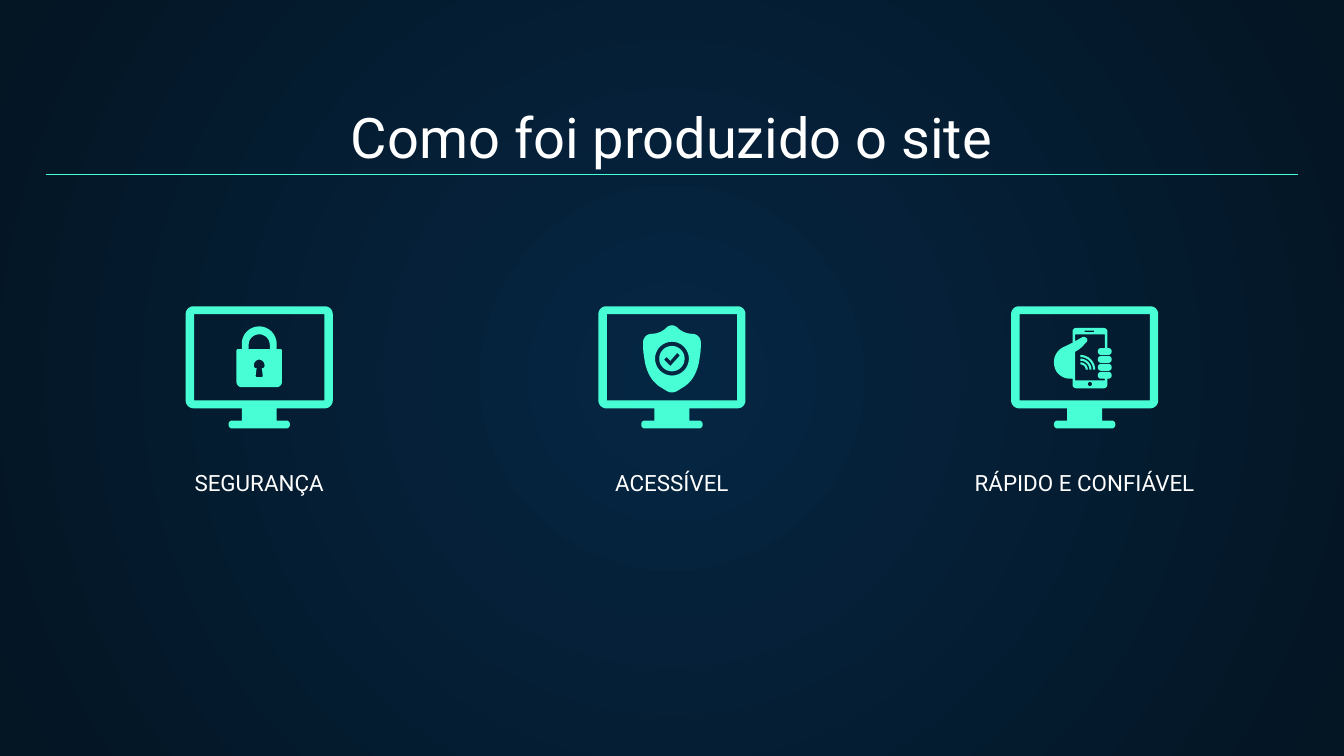
from math import sqrt, hypot

from lxml import etree
from pptx import Presentation
from pptx import util as u
from pptx.dml.color import RGBColor
from pptx.enum import shapes, text
from pptx.oxml.ns import qn


def colour(code):
    return RGBColor.from_string(code)


# Outline geometry: corners are (x, y, radius), in cm
def mirrored(half):
    """Complete a symmetric outline from its right half, listed downwards."""
    return half + [(-x, y, r) for x, y, r in reversed(half)]


def box_outline(left, top, right, bottom, radius=0):
    return [(left, top, radius), (right, top, radius),
            (right, bottom, radius), (left, bottom, radius)]


def disc_outline(x, y, radius):
    return box_outline(x - radius, y - radius, x + radius, y + radius, radius)


def sharp(*points):
    return [(x, y, 0) for x, y in points]


def signal_arc(x, y, radius, width=0.04):
    inner = radius - width
    return [(x, y - radius, 0), (x + radius, y - radius, radius), (x + radius, y, 0),
            (x + inner, y, 0), (x + inner, y - inner, inner), (x, y - inner, 0)]


def rounded(corners, steps=8):
    """Turn corners into points, replacing each rounded corner by an arc."""
    points = []
    for i, (x, y, radius) in enumerate(corners):
        if not radius:
            points.append((x, y))
            continue
        ends = []
        for nx, ny, _ in (corners[i - 1], corners[(i + 1) % len(corners)]):
            share = radius / hypot(nx - x, ny - y)
            ends.append((x + (nx - x) * share, y + (ny - y) * share))
        (ax, ay), (bx, by) = ends
        for step in range(steps + 1):
            t = step / steps
            a, c, b = (1 - t) ** 2, sqrt(2) * t * (1 - t), t ** 2
            total = a + b + c
            points.append(((a * ax + c * x + b * bx) / total,
                           (a * ay + c * y + b * by) / total))
    return points


class SlideBuilder:
    font = "Roboto"
    white = "FFFFFF"
    accent = "48FFD5"

    def __init__(self, deck):
        self.page = deck.slides.add_slide(deck.slide_layouts[5])

    def background(self, centre, edge):
        fill = self.page.background.fill
        fill.gradient()
        for stop, code in zip(fill.gradient_stops, (centre, edge)):
            stop.color.rgb = colour(code)
        gradient = self.page.element.find(".//" + qn("a:gradFill"))
        gradient.remove(gradient.find(qn("a:lin")))
        circle = etree.SubElement(gradient, qn("a:path"), {"path": "circle"})
        etree.SubElement(circle, qn("a:fillToRect"),
                         l="50000", t="50000", r="50000", b="50000")

    def set_words(self, box, words, size):
        frame = box.text_frame
        frame.word_wrap = True
        frame.auto_size = text.MSO_AUTO_SIZE.NONE
        frame.vertical_anchor = text.MSO_ANCHOR.BOTTOM
        frame.margin_left = frame.margin_right = u.Cm(0.25)
        frame.margin_top = frame.margin_bottom = u.Cm(0.25)
        para = frame.paragraphs[0]
        para.text = words
        para.alignment = text.PP_ALIGN.CENTER
        para.font.name = self.font
        para.font.size = u.Pt(size)
        para.font.color.rgb = colour(self.white)

    def title(self, words, left, top, width, height):
        box = self.page.shapes.title
        box.left, box.top = u.Cm(left), u.Cm(top)
        box.width, box.height = u.Cm(width), u.Cm(height)
        self.set_words(box, words, 30)

    def label(self, words, centre, top, width=5.76, height=0.53):
        box = self.page.shapes.add_textbox(
            u.Cm(centre - width / 2), u.Cm(top), u.Cm(width), u.Cm(height))
        self.set_words(box, words, 12)

    def rule(self, left, right, y):
        line = self.page.shapes.add_connector(
            shapes.MSO_CONNECTOR.STRAIGHT, u.Cm(left), u.Cm(y), u.Cm(right), u.Cm(y))
        line.line.color.rgb = colour(self.accent)
        line.line.width = u.Pt(0.75)
        etree.SubElement(line._element.spPr, qn("a:effectLst"))

    def outline(self, contours, x, y):
        """Draw one filled shape; inner contours become holes."""
        builder = None
        for corners in contours:
            points = [(u.Cm(x + px), u.Cm(y + py)) for px, py in rounded(corners)]
            if builder is None:
                builder = self.page.shapes.build_freeform(*points[0])
            else:
                builder.move_to(*points[0])
            builder.add_line_segments(points[1:], close=True)
        shape = builder.convert_to_shape()
        shape.shadow.inherit = False
        shape.fill.solid()
        shape.fill.fore_color.rgb = colour(self.accent)
        shape.line.fill.background()


# Icon parts, measured from the top centre of the monitor
MONITOR = [
    mirrored([(1.39, 0, 0.15), (1.39, 1.93, 0.15), (0.33, 1.93, 0),
              (0.33, 2.16, 0), (0.58, 2.16, 0.07), (0.58, 2.31, 0.07)]),
    box_outline(-1.23, 0.15, 1.23, 1.78),
]
PADLOCK = [
    mirrored([(0.33, 0.38, 0.33), (0.33, 0.81, 0), (0.43, 0.81, 0.03), (0.43, 1.53, 0.1)]),
    mirrored([(0.2, 0.53, 0.2), (0.2, 0.81, 0)]),
    mirrored([(0.1, 1.01, 0.1), (0.1, 1.17, 0.04), (0.05, 1.17, 0), (0.07, 1.34, 0.03)]),
]
CHECK = [
    disc_outline(0, 0.99, 0.24),
    sharp((-0.15, 1.01), (-0.03, 1.13), (0.15, 0.93),
          (0.1, 0.88), (-0.03, 1.03), (-0.1, 0.96)),
]
SHIELD = [
    mirrored([(0.06, 0.36, 0.06), (0.2, 0.5, 0.12), (0.54, 0.54, 0.13), (0.55, 0.8, 0.1),
              (0.49, 1.2, 0.15), (0.33, 1.46, 0.12), (0.05, 1.63, 0.05)]),
    disc_outline(0, 0.99, 0.32),
]
PHONE_IN_HAND = [
    [(-0.23, 0.41, 0.07), (0.43, 0.41, 0.07),
     *sharp((0.43, 0.79), (0.38, 0.79), (0.38, 0.53), (-0.18, 0.53), (-0.18, 0.66)),
     (0, 0.56, 0.06), (0.07, 0.64, 0.05), (-0.08, 0.8, 0.05),
     *sharp((-0.18, 0.86), (-0.18, 1.4), (0.38, 1.4), (0.38, 1.37), (0.43, 1.37)),
     (0.43, 1.55, 0.07), (-0.23, 1.55, 0.07), (-0.23, 1.37, 0),
     (-0.58, 1.37, 0.3), (-0.58, 0.86, 0.18), (-0.23, 0.69, 0)],
    box_outline(0, 0.46, 0.18, 0.49),
    disc_outline(0.1, 1.47, 0.04),
    *[box_outline(0.25, 0.79 + 0.15 * i, 0.51, 0.92 + 0.15 * i, 0.06) for i in range(4)],
    *[signal_arc(-0.08, 1.2, radius) for radius in (0.28, 0.21, 0.14)],
]
FEATURES = [
    ("SEGURANÇA", [PADLOCK]),
    ("ACESSÍVEL", [CHECK, SHIELD]),
    ("RÁPIDO E CONFIÁVEL", [PHONE_IN_HAND]),
]


def main():
    deck = Presentation()
    deck.slide_width, deck.slide_height = u.Cm(25.4), u.Cm(14.29)
    slide = SlideBuilder(deck)
    slide.background("052643", "041523")

    # Heading
    slide.title("Como foi produzido o site", 0.86, 1.78, 23.67, 1.68)
    slide.rule(0.86, 24.53, 3.3)

    # Feature columns
    for column, (name, emblem) in enumerate(FEATURES):
        centre = 4.9 + 7.8 * column
        for part in [MONITOR, *emblem]:
            slide.outline(part, centre, 5.79)
        slide.label(name, centre, 9.09)

    deck.save("out.pptx")


if __name__ == "__main__":
    main()
